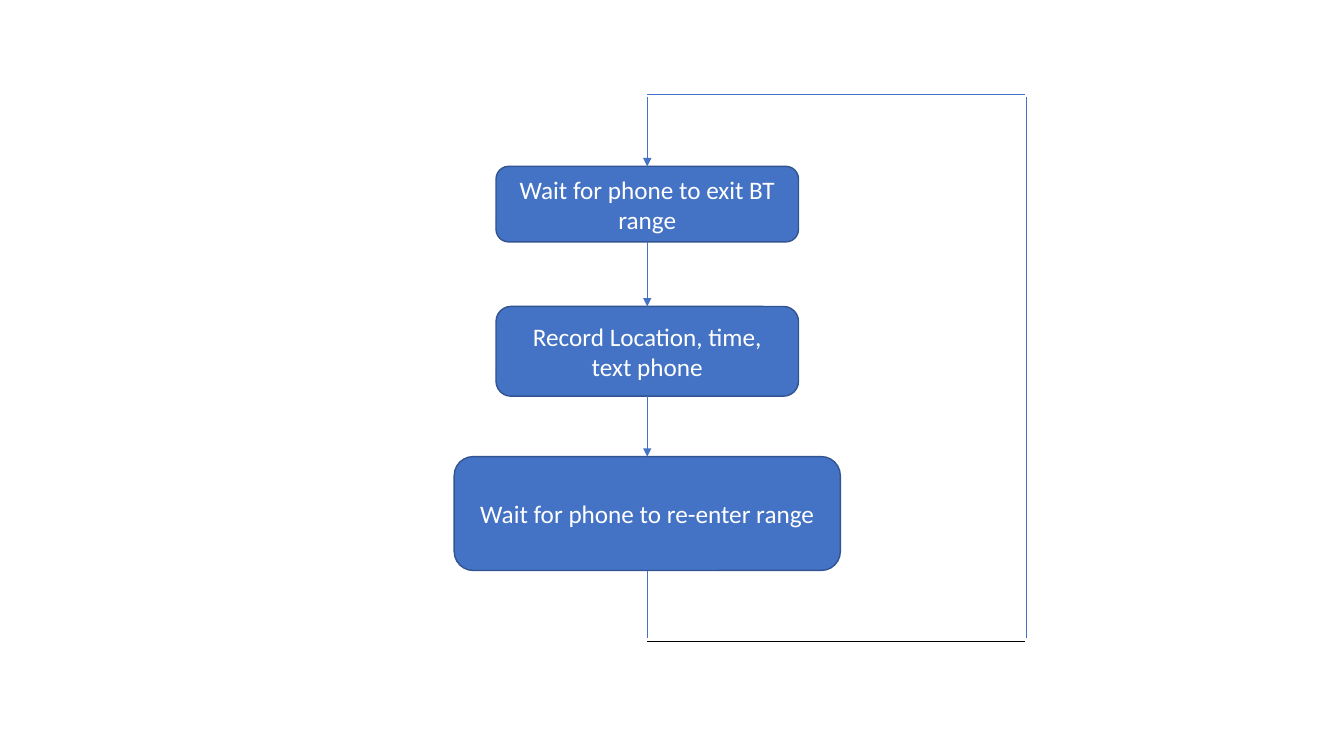
"""Draw a looping flowchart of a phone leaving and re-entering range."""
from dataclasses import dataclass
from typing import Optional

import lxml.etree
import pptx
import pptx.dml.color
import pptx.enum.shapes
import pptx.enum.text
import pptx.oxml.ns
import pptx.util

Inches = pptx.util.Inches
RGBColor = pptx.dml.color.RGBColor
BLUE = RGBColor(0x44, 0x72, 0xC4)
NAVY = RGBColor(0x32, 0x54, 0x91)
WHITE = RGBColor(0xFF, 0xFF, 0xFF)
BLACK = RGBColor(0x00, 0x00, 0x00)
FONT = "Calibri"
MID = 6.42
RIGHT = 10.17
HIGH = 0.94
LOW = 6.36
TOP_SITE = 0
BOTTOM_SITE = 2


@dataclass
class Step:
    text: str
    top: float
    width: float
    height: float

    @property
    def bottom(self) -> float:
        return self.top + self.height


@dataclass
class Link:
    x1: float
    y1: float
    x2: float
    y2: float
    arrow: bool = False
    color: RGBColor = BLUE
    source: Optional[int] = None
    target: Optional[int] = None


STEPS = [
    Step("Wait for phone to exit BT range", 1.65, 3, 0.75),
    Step("Record Location, time, text phone", 3.04, 3, 0.89),
    Step("Wait for phone to re-enter range", 4.53, 3.83, 1.13),
]
DOWN = [
    Link(MID, a.bottom, MID, b.top, arrow=True, source=i, target=i + 1)
    for i, (a, b) in enumerate(zip(STEPS, STEPS[1:]))
]
LOOP = [
    Link(MID, STEPS[-1].bottom, MID, 6.33, source=len(STEPS) - 1),
    Link(MID, LOW, RIGHT, LOW, color=BLACK),
    Link(10.18, 6.33, 10.18, 0.96),
    Link(RIGHT, HIGH, MID, HIGH),
    Link(MID, 0.96, MID, STEPS[0].top, arrow=True, target=0),
]


def add_step(slide, step: Step):
    box = slide.shapes.add_shape(
        pptx.enum.shapes.MSO_SHAPE.ROUNDED_RECTANGLE,
        Inches(MID - step.width / 2), Inches(step.top),
        Inches(step.width), Inches(step.height))
    box.shadow.inherit = False
    box.fill.solid()
    box.fill.fore_color.rgb = BLUE
    box.line.color.rgb = NAVY
    box.line.width = pptx.util.Pt(1)
    frame = box.text_frame
    frame.word_wrap = True
    frame.vertical_anchor = pptx.enum.text.MSO_ANCHOR.MIDDLE
    frame.text = step.text
    para = frame.paragraphs[0]
    para.alignment = pptx.enum.text.PP_ALIGN.CENTER
    font = para.runs[0].font
    font.name = FONT
    font.size = pptx.util.Pt(18)
    font.color.rgb = WHITE
    return box


def add_link(slide, link: Link, boxes: list) -> None:
    line = slide.shapes.add_connector(
        pptx.enum.shapes.MSO_CONNECTOR.STRAIGHT,
        Inches(link.x1), Inches(link.y1), Inches(link.x2), Inches(link.y2))
    if link.source is not None:
        line.begin_connect(boxes[link.source], BOTTOM_SITE)
    if link.target is not None:
        line.end_connect(boxes[link.target], TOP_SITE)
    line.line.color.rgb = link.color
    line.line.width = pptx.util.Pt(0.5)
    qn = pptx.oxml.ns.qn
    props = line.element.spPr
    if link.arrow:
        lxml.etree.SubElement(props.find(qn("a:ln")), qn("a:tailEnd"), type="triangle")
    lxml.etree.SubElement(props, qn("a:effectLst"))


def main() -> None:
    deck = pptx.Presentation()
    deck.slide_width = Inches(13.33)
    deck.slide_height = Inches(7.5)
    slide = deck.slides.add_slide(deck.slide_layouts[6])
    boxes = [add_step(slide, step) for step in STEPS]
    for link in DOWN + LOOP:
        add_link(slide, link, boxes)
    deck.save("out.pptx")


if __name__ == "__main__":
    main()
